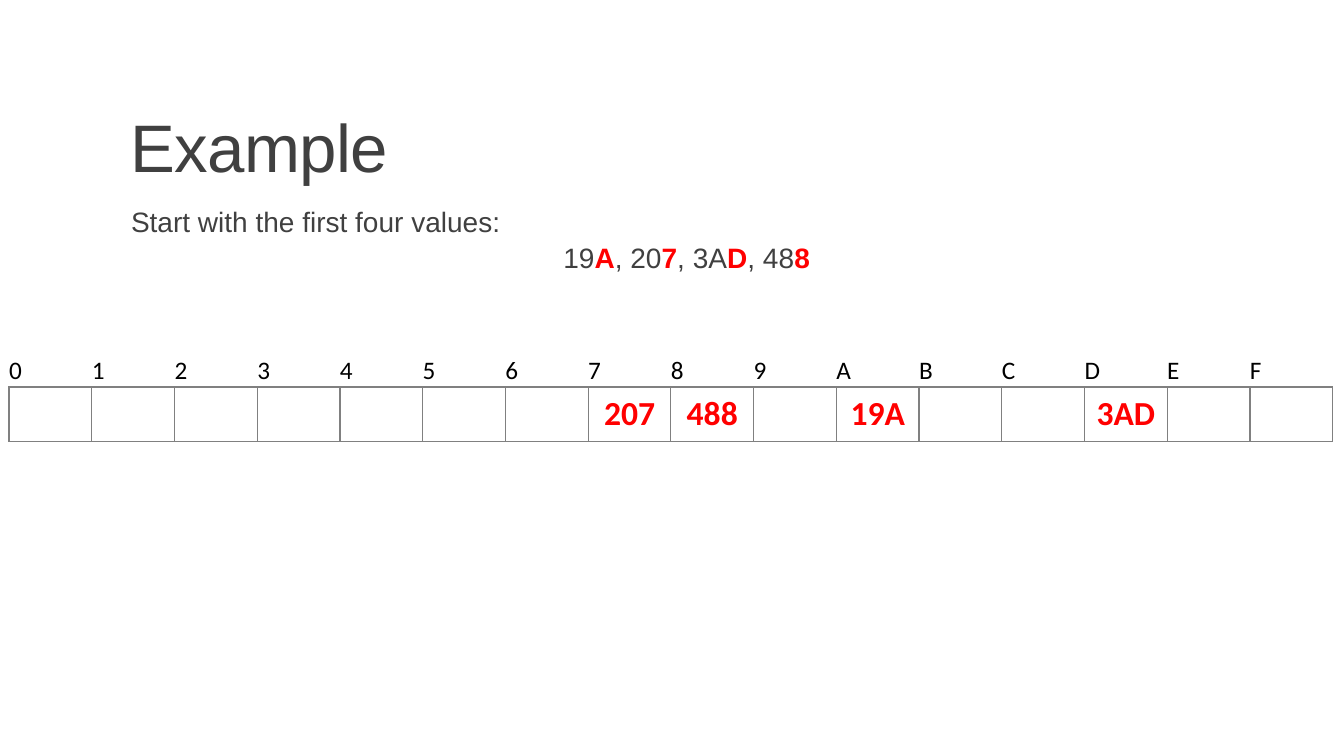
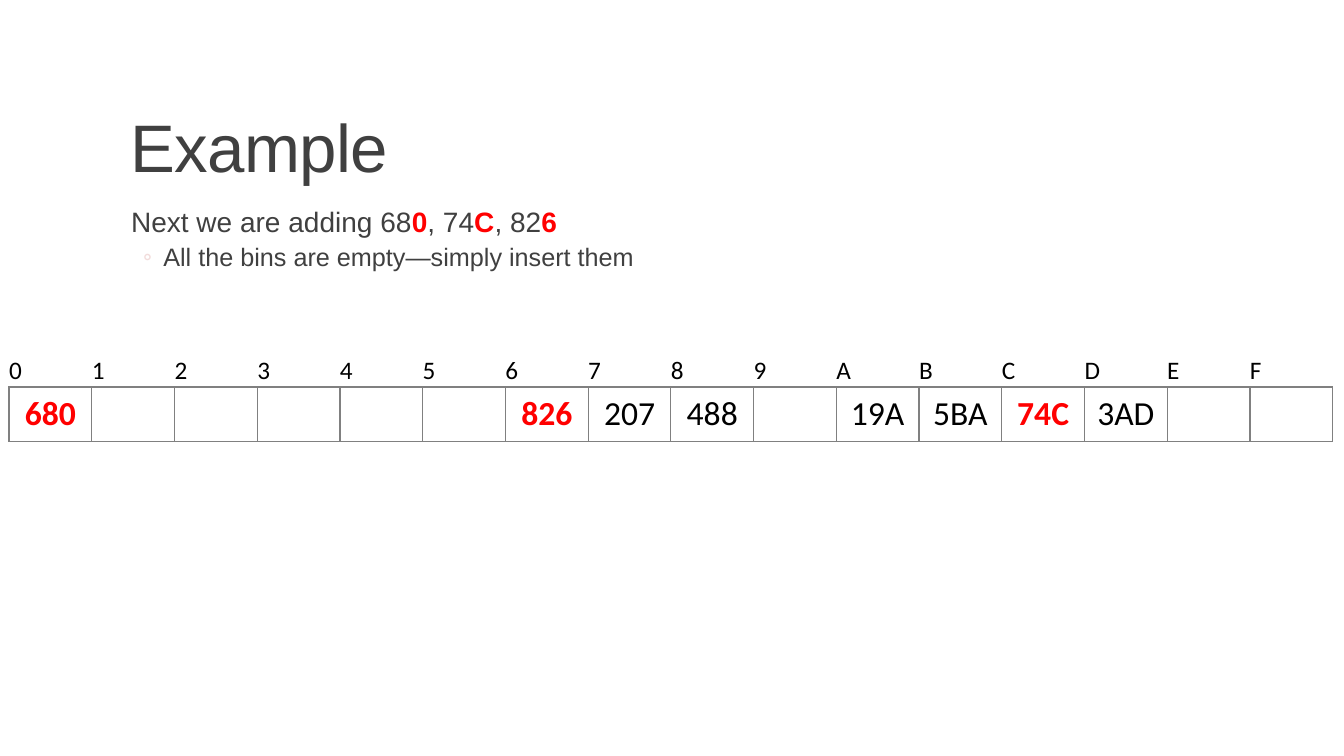
"""Build two slides that show values being placed in sixteen hash bins."""
from dataclasses import dataclass

from pptx import Presentation
from pptx.dml.color import RGBColor
from pptx.enum.text import MSO_ANCHOR, PP_ALIGN
from pptx.oxml.ns import qn
from pptx.util import Inches, Pt
from lxml import etree

LEFT, CENTER = PP_ALIGN.LEFT, PP_ALIGN.CENTER
TOP, MIDDLE, BOTTOM = MSO_ANCHOR.TOP, MSO_ANCHOR.MIDDLE, MSO_ANCHOR.BOTTOM
BINS = "0123456789ABCDEF"


@dataclass(frozen=True)
class Theme:
    """Colours, fonts and type sizes shared by the slides."""

    ink: str = "404040"
    hot: str = "FF0000"
    black: str = "000000"
    rule: str = "808080"
    mark: str = "F2DCDB"
    font: str = "Arial"
    grid: str = "Calibri"
    title: int = 48
    body: int = 20
    sub: int = 18
    label: int = 18
    value: int = 24


THEME = Theme()


def add_run(para, text, size, color, font, bold=False):
    """Append one styled run to a paragraph."""
    run = para.add_run()
    run.text = text
    run.font.size = Pt(size)
    run.font.name = font
    run.font.bold = bold
    run.font.color.rgb = RGBColor.from_string(color)
    return run


def add_marked(para, text, size):
    """Add text in which the parts between asterisks are bold and red."""
    for i, part in enumerate(text.split("*")):
        hot = i % 2 == 1
        if part:
            add_run(para, part, size, THEME.hot if hot else THEME.ink, THEME.font, hot)


def add_box(slide, top, height, side, anchor):
    """Add a wrapping text box in the text column and return its frame."""
    box = slide.shapes.add_textbox(Inches(1.2), Inches(top), Inches(11), Inches(height))
    frame = box.text_frame
    frame.word_wrap = True
    frame.vertical_anchor = anchor
    frame.margin_left = frame.margin_right = Inches(side)
    return frame


def set_indent(para, left, first=0):
    """Set the left margin and first-line indent of a paragraph."""
    props = para._p.get_or_add_pPr()
    props.set("marL", str(Inches(left)))
    props.set("indent", str(Inches(first)))


def add_bullet(para):
    """Give a paragraph a pale ring bullet."""
    props = para._p.get_or_add_pPr()
    color = etree.SubElement(props, qn("a:buClr"))
    etree.SubElement(color, qn("a:srgbClr"), val=THEME.mark)
    etree.SubElement(props, qn("a:buFont"), typeface=THEME.grid)
    etree.SubElement(props, qn("a:buChar"), char="◦")


def add_title(slide, text):
    """Add the slide title."""
    para = add_box(slide, 0.31, 1.59, 0.1, BOTTOM).paragraphs[0]
    para.line_spacing = 0.85
    run = add_run(para, text, THEME.title, THEME.ink, THEME.font)
    run.font._element.set("spc", "-50")


def add_body(slide, lead, detail, bullet):
    """Add a lead line with a bulleted or centred line below it."""
    frame = add_box(slide, 2.02, 4.4, 0, TOP)
    first, second = frame.paragraphs[0], frame.add_paragraph()
    set_indent(first, 0.1)
    set_indent(second, 0.42, -0.2)
    first.line_spacing = second.line_spacing = 0.9
    first.space_after, second.space_before = Pt(2), Pt(2)
    second.space_after = Pt(4)
    second.alignment = LEFT if bullet else CENTER
    if bullet:
        add_bullet(second)
    add_marked(first, lead, THEME.body)
    add_marked(second, detail, THEME.sub if bullet else THEME.body)


def set_edges(cell, shown):
    """Draw the named cell edges and hide the others."""
    props = cell._tc.get_or_add_tcPr()
    for side in "LRTB":
        line = etree.SubElement(props, qn(f"a:ln{side}"), w=str(Pt(1)))
        if side in shown:
            fill = etree.SubElement(line, qn("a:solidFill"))
            etree.SubElement(fill, qn("a:srgbClr"), val=THEME.rule)
        else:
            etree.SubElement(line, qn("a:noFill"))


def fill_cell(cell, text, size, color, align, edges, bold=False):
    """Style one table cell and write its text."""
    set_edges(cell, edges)
    cell.fill.background()
    cell.margin_left = cell.margin_right = 0
    cell.margin_top = cell.margin_bottom = 0
    cell.vertical_anchor = MIDDLE
    para = cell.text_frame.paragraphs[0]
    para.alignment = align
    if text:
        add_run(para, text, size, color, THEME.grid, bold)


def add_bins(slide, values, fresh):
    """Add the bin table, with the fresh values bold and red."""
    frame = slide.shapes.add_table(
        2, len(BINS), Inches(0.09), Inches(3.51), Inches(13.13), Inches(0.87))
    table = frame.table
    table.first_row = table.horz_banding = False
    table.rows[0].height, table.rows[1].height = Inches(0.33), Inches(0.54)
    for col, label in enumerate(BINS):
        value = values.get(label, "")
        hot = value in fresh
        fill_cell(table.cell(0, col), label, THEME.label, THEME.black, LEFT, "B")
        fill_cell(table.cell(1, col), value, THEME.value,
                  THEME.hot if hot else THEME.black, CENTER, "LRTB", hot)


def main():
    """Build and save the slides."""
    deck = Presentation()
    deck.slide_width, deck.slide_height = Inches(13.33), Inches(7.5)
    start = {"7": "207", "8": "488", "A": "19A", "D": "3AD"}
    added = {"0": "680", "6": "826", "C": "74C"}
    pages = [
        ("Start with the first four values:", "19*A*, 20*7*, 3A*D*, 48*8*", False,
         start, start.values()),
        ("Next we are adding 68*0*, 74*C*, 82*6*",
         "All the bins are empty—simply insert them", True,
         {**start, "B": "5BA", **added}, added.values()),
    ]
    for lead, detail, bullet, values, fresh in pages:
        slide = deck.slides.add_slide(deck.slide_layouts[6])
        add_body(slide, lead, detail, bullet)
        add_title(slide, "Example")
        add_bins(slide, values, fresh)
    deck.save("out.pptx")


if __name__ == "__main__":
    main()
